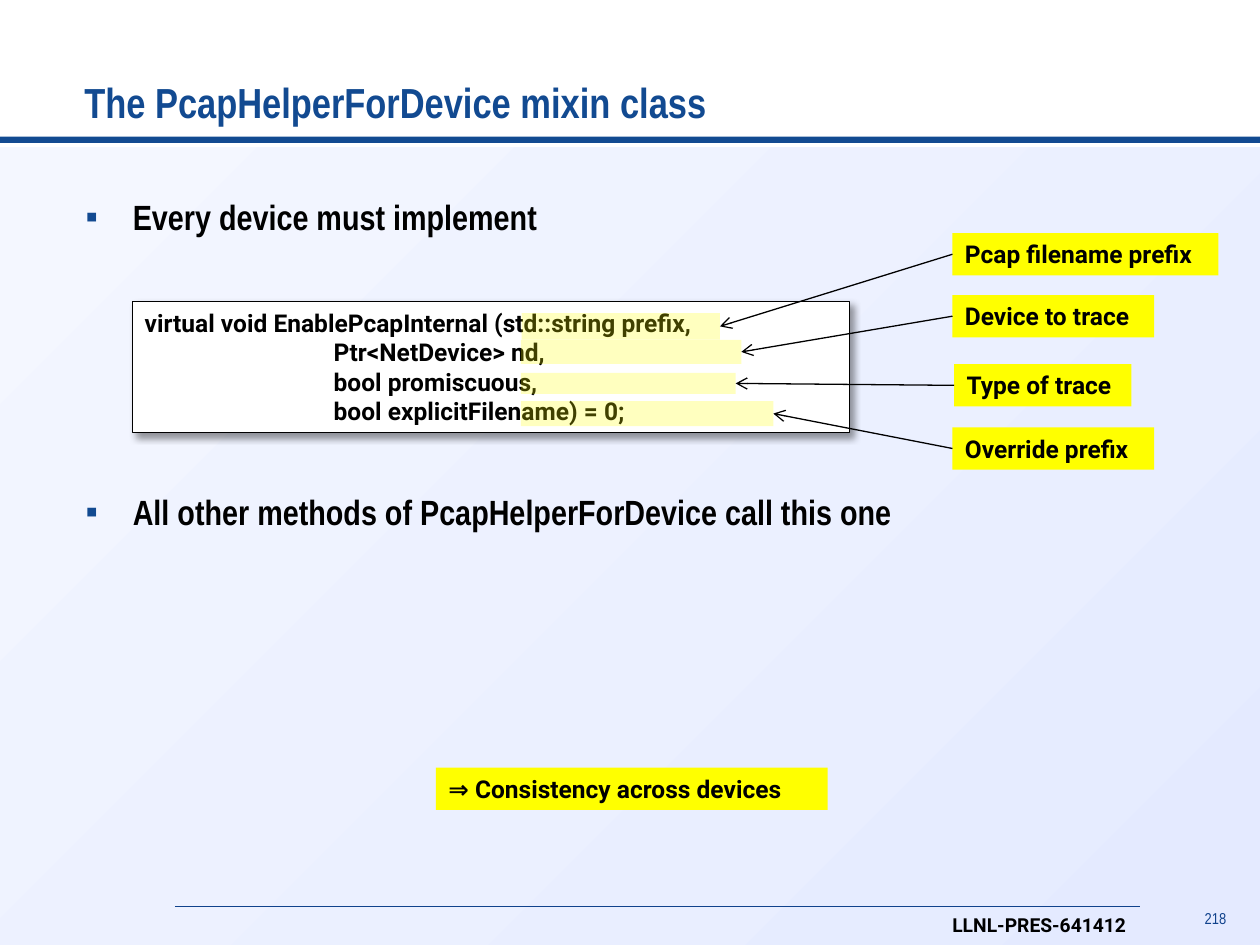
"""Build the slide on the PcapHelperForDevice mixin class."""
import pptx
import pptx.dml.color
import pptx.enum.shapes
import pptx.enum.text
import pptx.oxml
import pptx.oxml.ns
import pptx.util

Pt = pptx.util.Pt
RGBColor = pptx.dml.color.RGBColor
Anchor = pptx.enum.text.MSO_ANCHOR
Align = pptx.enum.text.PP_ALIGN

BLUE = RGBColor(0x12, 0x4A, 0x91)
LINE_BLUE = RGBColor(0x10, 0x42, 0x8C)
PALE = RGBColor(0xF4, 0xF7, 0xFF)
LAVENDER = RGBColor(0xE4, 0xEA, 0xFF)
YELLOW = RGBColor(0xFF, 0xFF, 0x00)
WHITE = RGBColor(0xFF, 0xFF, 0xFF)
BLACK = RGBColor(0, 0, 0)
NARROW, ROBOTO = "Arial Narrow", "Roboto"

TITLE = "The PcapHelperForDevice mixin class"
BULLETS = ["Every device must implement",
           "All other methods of PcapHelperForDevice call this one"]
BULLET_GAP = 144.5
CODE = ["virtual void EnablePcapInternal (std::string prefix,",
        "\t\t\tPtr<NetDevice> nd,",
        "\t\t\tbool promiscuous,",
        "\t\t\tbool explicitFilename) = 0;"]
CONCLUSION = "⇒ Consistency across devices"
LABEL_HEIGHT = 24.2
ARGUMENTS = [
    ("Pcap filename prefix", (544.3, 133.2, 152), (298, 178.9, 113.4, 15.2)),
    ("Device to trace", (544.3, 168.6, 115.3), (297.6, 194.2, 126, 13.8)),
    ("Type of trace", (545.3, 208.1, 101.3), (297.6, 213.1, 122.8, 12)),
    ("Override prefix", (544.3, 244.2, 115.3), (297.6, 229.2, 144.3, 14.3)),
]


def append_effects(properties, content=""):
    namespace = pptx.oxml.ns.nsdecls("a")
    properties.append(pptx.oxml.parse_xml(
        f"<a:effectLst {namespace}>{content}</a:effectLst>"))


def add_rectangle(slide, box, color=None):
    shape = slide.shapes.add_shape(
        pptx.enum.shapes.MSO_SHAPE.RECTANGLE, *map(Pt, box))
    shape.shadow.inherit = False
    shape.line.fill.background()
    if color is not None:
        shape.fill.solid()
        shape.fill.fore_color.rgb = color
    return shape


def write(shape, lines, font, size, color=BLACK, bold=True, anchor=Anchor.TOP,
          align=Align.LEFT, wrap=False, margins=(7.2, 3.6, 7.2, 3.6)):
    frame = shape.text_frame
    frame.word_wrap = wrap
    frame.vertical_anchor = anchor
    (frame.margin_left, frame.margin_top,
     frame.margin_right, frame.margin_bottom) = map(Pt, margins)
    frame.text = "\n".join(lines)
    for paragraph in frame.paragraphs:
        paragraph.alignment = align
        paragraph.font.name = font
        paragraph.font.size = Pt(size)
        paragraph.font.bold = bold
        paragraph.font.color.rgb = color
    return frame.paragraphs


def add_text(slide, box, lines, *style, **options):
    return write(slide.shapes.add_textbox(*map(Pt, box)), lines, *style, **options)


def add_label(slide, left, top, width, text):
    shape = add_rectangle(slide, (left, top, width, LABEL_HEIGHT), YELLOW)
    write(shape, [text], ROBOTO, 14)


def add_line(slide, start, end, color, width, arrow=False):
    connector = slide.shapes.add_connector(
        pptx.enum.shapes.MSO_CONNECTOR.STRAIGHT, *map(Pt, start + end))
    connector.line.color.rgb = color
    connector.line.width = Pt(width)
    if arrow:
        connector.line._get_or_add_ln().append(pptx.oxml.parse_xml(
            f'<a:tailEnd {pptx.oxml.ns.nsdecls("a")} type="arrow"/>'))
    append_effects(connector._element.spPr)


def add_frame(slide):
    panel = add_rectangle(slide, (0, 84.2, 720, 455.8))
    panel.fill.gradient()
    panel.fill.gradient_angle = 315
    for stop, color in zip(panel.fill.gradient_stops, (PALE, LAVENDER)):
        stop.color.rgb = color
    add_rectangle(slide, (0, 78, 720, 3.6), BLUE)
    add_line(slide, (100, 517.8), (651.5, 517.8), LINE_BLUE, 0.5)
    number = add_text(slide, (683.3, 518.4, 24.5, 15.8), ["218"], NARROW, 9,
                      LINE_BLUE, bold=False, align=Align.RIGHT, wrap=True,
                      margins=(0, 3.6, 7.2, 3.6))
    number[0].line_spacing = 0.75
    add_text(slide, (537.1, 518.4, 117.4, 20.6), ["LLNL-PRES-641412"], ROBOTO, 11)
    add_text(slide, (48.2, 12.2, 625.7, 64.1), [TITLE], NARROW, 24, BLUE,
             anchor=Anchor.BOTTOM, wrap=True, margins=(0, 3.6, 7.2, 3.6))


def add_bullets(slide):
    paragraphs = add_text(slide, (41.8, 108, 635.8, 372.2), BULLETS, NARROW, 20,
                          wrap=True)
    namespace = pptx.oxml.ns.nsdecls("a")
    for paragraph in paragraphs:
        properties = paragraph._p.get_or_add_pPr()
        properties.set("marL", str(Pt(27)))
        properties.set("indent", str(Pt(-27)))
        bullet = (f'<a:buClr {namespace}><a:srgbClr val="{BLUE}"/></a:buClr>',
                  f'<a:buFont {namespace} typeface="Arial"/>',
                  f'<a:buChar {namespace} char="▪"/>')
        for position, element in enumerate(bullet):
            properties.insert(position, pptx.oxml.parse_xml(element))
    paragraphs[1].space_before = Pt(BULLET_GAP)


def add_code(slide):
    shape = add_rectangle(slide, (75.6, 172.5, 409.7, 74.9), WHITE)
    shape.line.color.rgb = BLACK
    shape.line.width = Pt(0.75)
    properties = shape._element.spPr
    properties.remove(properties.find(pptx.oxml.ns.qn("a:effectLst")))
    append_effects(properties, (
        f'<a:outerShdw blurRad="{Pt(4)}" dist="{Pt(3)}" dir="2700000" '
        'algn="tl" rotWithShape="0"><a:srgbClr val="000000">'
        '<a:alpha val="40000"/></a:srgbClr></a:outerShdw>'))
    write(shape, CODE, ROBOTO, 14)


def add_arguments(slide):
    for text, label, highlight in ARGUMENTS:
        shape = add_rectangle(slide, highlight, YELLOW)
        color = shape._element.spPr.find(
            f"{pptx.oxml.ns.qn('a:solidFill')}/{pptx.oxml.ns.qn('a:srgbClr')}")
        color.append(pptx.oxml.parse_xml(
            f'<a:alpha {pptx.oxml.ns.nsdecls("a")} val="25000"/>'))
        add_label(slide, *label, text)
    for text, (label_left, label_top, _), (left, top, width, height) in ARGUMENTS:
        add_line(slide, (label_left, label_top + LABEL_HEIGHT / 2),
                 (left + width, top + height / 2), BLACK, 0.75, arrow=True)


def main():
    presentation = pptx.Presentation()
    presentation.slide_width, presentation.slide_height = Pt(720), Pt(540)
    slide = presentation.slides.add_slide(presentation.slide_layouts[6])
    add_frame(slide)
    add_bullets(slide)
    add_label(slide, 249.1, 438.6, 223.9, CONCLUSION)
    add_code(slide)
    add_arguments(slide)
    presentation.save("out.pptx")


if __name__ == "__main__":
    main()
